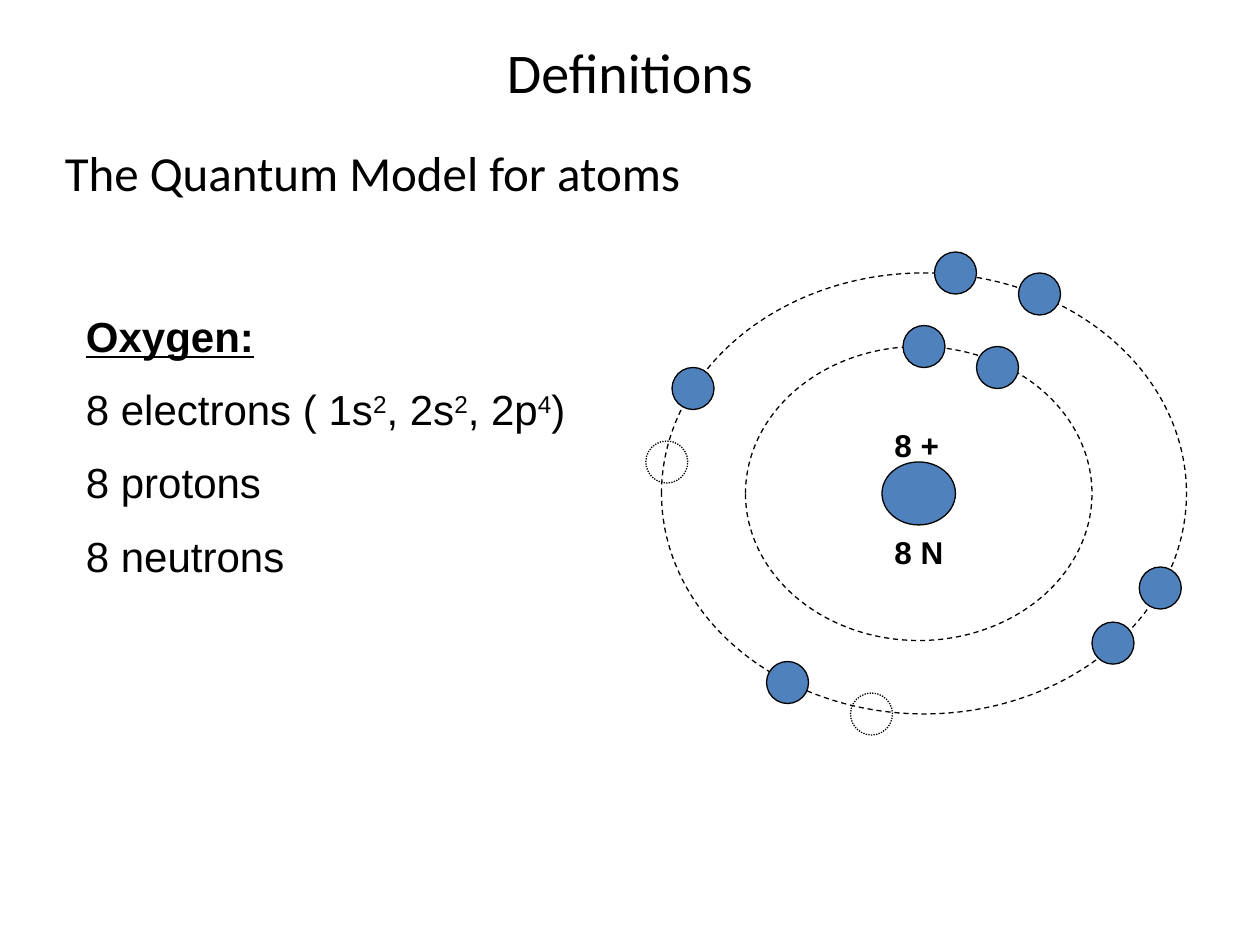
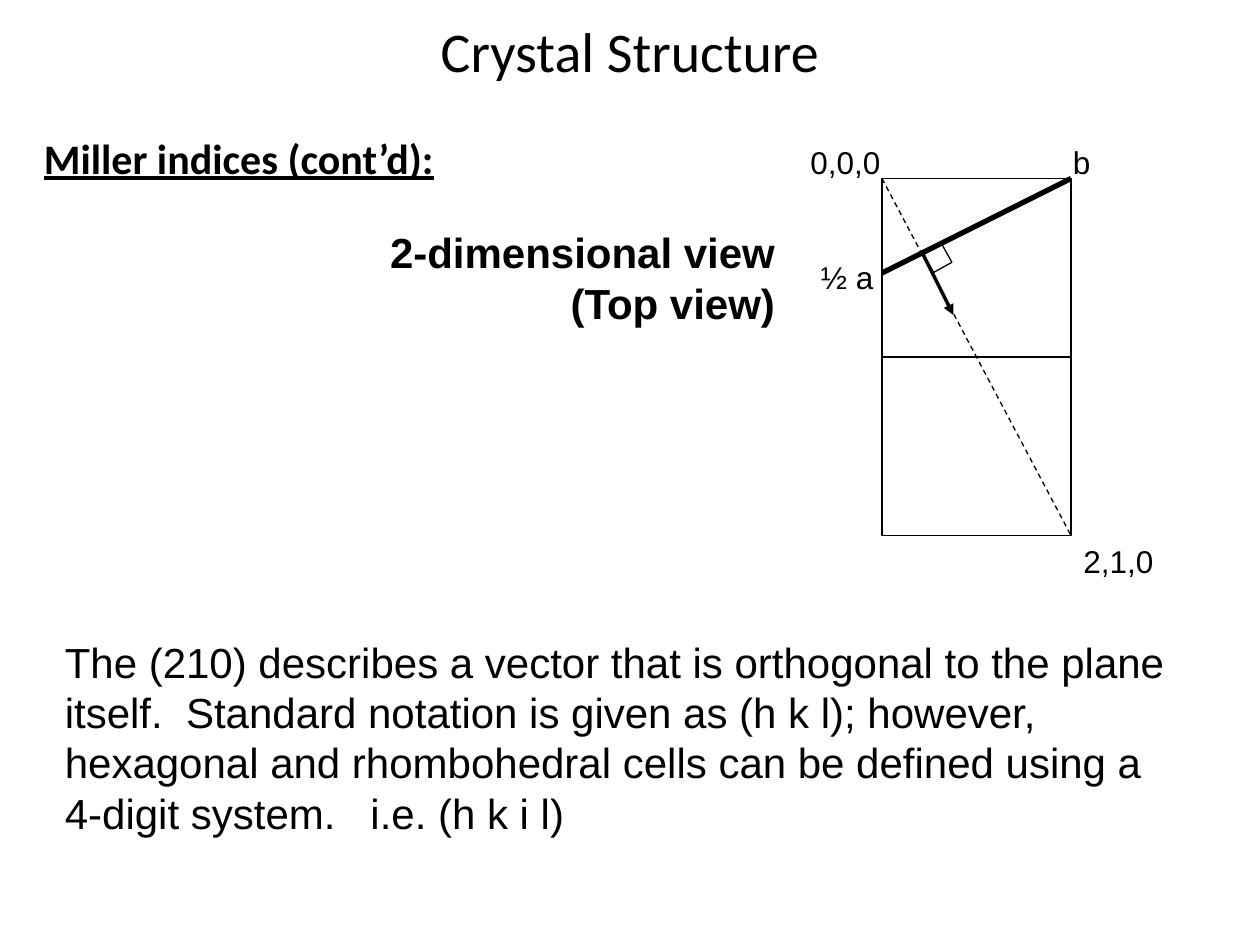
from lxml.etree import SubElement
from pptx import Presentation
from pptx.dml.color import RGBColor
from pptx.enum.dml import MSO_LINE
from pptx.enum.shapes import MSO_CONNECTOR, MSO_SHAPE
from pptx.enum.text import MSO_ANCHOR, PP_ALIGN
from pptx.oxml.ns import qn
from pptx.util import Inches, Pt

BLACK = RGBColor(0x00, 0x00, 0x00)
BLUE = RGBColor(0x4F, 0x81, 0xBD)
HEADING_FONT, BODY_FONT = "Calibri", "Arial"
UNIT = 1 / 12  # grid step in inches; every place below counts these steps

# Slide 1: boxes are (left, top, width, height)
OXYGEN_FACTS = ["8 electrons ( 1s^2^, 2s^2^, 2p^4^)", "8 protons", "8 neutrons"]  # ^superscript^
NUCLEUS = (84, 44, 7, 6)
ORBITS = [(71, 33, 33, 28), (63, 26, 50, 42)]
ELECTRON_SIZE = 4
ELECTRONS = [(89, 24), (93, 33), (64, 35), (97, 26),
             (86, 31), (73, 63), (104, 59.25), (108.5, 54)]
VACANCIES = [(61.5, 42), (81, 66)]
NUCLEUS_LABELS = [("8 +", (84, 40, 9, 4.8)), ("8 N", (84, 50.2, 8, 4.8))]

# Slide 2
CELL_LEFT, CELL_TOP, CELL_W, CELL_H = 84, 17, 18, 17
CELL_RIGHT, CELLS_BOTTOM = CELL_LEFT + CELL_W, CELL_TOP + 2 * CELL_H
CELL_LINES = [  # start, end, points, dash, arrow
    ((CELL_LEFT, CELL_TOP), (CELL_RIGHT, CELLS_BOTTOM), 0.75, MSO_LINE.DASH, False),
    ((87.8, 24), (90.8, 30), 2, None, True),
    ((CELL_LEFT, 26), (CELL_RIGHT, CELL_TOP), 3, None, False),
]
RIGHT_ANGLE, RIGHT_ANGLE_TURN = (88.3, 23.6, 2, 2), 61
CELL_LABELS = [("½ a", (77, 24, 9, 4.8)), ("0,0,0", (76, 13, 12, 4.8)),
               ("b", (101, 13, 5, 4.8)), ("2,1,0", (102, 51, 10, 4.8))]
EXPLANATION = ("The (210) describes a vector that is orthogonal to the plane itself.  "
               "Standard notation is given as (h k l); however, hexagonal and rhombohedral "
               "cells can be defined using a 4-digit system.   i.e. (h k i l)")


def grid(*steps):
    return [Inches(step * UNIT) for step in steps]


def add_text(shapes, paragraphs, box, size, font=BODY_FONT, bold=False,
             underline=False, align=PP_ALIGN.LEFT, anchor=MSO_ANCHOR.TOP):
    """Add a text box; pieces between carets become superscripts."""
    tf = shapes.add_textbox(*grid(*box)).text_frame
    tf.word_wrap = True
    tf.vertical_anchor = anchor
    for i, text in enumerate(paragraphs):
        p = tf.paragraphs[0] if i == 0 else tf.add_paragraph()
        p.alignment = align
        p.space_before = Pt(13 if i else 0)
        p.font.name, p.font.size, p.font.bold = font, Pt(size), bold
        p.font.underline = underline
        p.font.color.rgb = BLACK
        for j, piece in enumerate(text.split("^")):
            r = p.add_run()
            r.text = piece
            if j % 2:
                r._r.get_or_add_rPr().set("baseline", "30000")
    return tf


def style_line(line, width=0.75, dash=None):
    line.color.rgb = BLACK
    line.width = Pt(width)
    if dash:
        line.dash_style = dash


def add_outline(shapes, kind, box, fill=None, dash=None):
    sp = shapes.add_shape(kind, *grid(*box))
    sp.shadow.inherit = False
    if fill:
        sp.fill.solid()
        sp.fill.fore_color.rgb = fill
    else:
        sp.fill.background()
    style_line(sp.line, dash=dash)
    return sp


def add_line(shapes, start, end, width, dash, arrow):
    line = shapes.add_connector(MSO_CONNECTOR.STRAIGHT, *grid(*start, *end))
    style_line(line.line, width, dash)
    if arrow:
        SubElement(line.line._get_or_add_ln(), qn("a:tailEnd"), type="triangle")
    SubElement(line._element.spPr, qn("a:effectLst"))


def add_slide(prs, title, title_box):
    shapes = prs.slides.add_slide(prs.slide_layouts[6]).shapes
    add_text(shapes, [title], title_box, 32, HEADING_FONT,
             align=PP_ALIGN.CENTER, anchor=MSO_ANCHOR.MIDDLE)
    return shapes


def add_atom(shapes):
    oval = MSO_SHAPE.OVAL
    add_outline(shapes, oval, NUCLEUS, BLUE)
    for orbit in ORBITS:
        add_outline(shapes, oval, orbit, dash=MSO_LINE.DASH)
    size = (ELECTRON_SIZE, ELECTRON_SIZE)
    for place in ELECTRONS:
        add_outline(shapes, oval, place + size, BLUE)
    for label, box in NUCLEUS_LABELS:
        add_text(shapes, [label], box, 18, bold=True)
    for place in VACANCIES:
        add_outline(shapes, oval, place + size, dash=MSO_LINE.ROUND_DOT)


def add_unit_cells(shapes):
    for row in range(2):
        add_outline(shapes, MSO_SHAPE.RECTANGLE,
                    (CELL_LEFT, CELL_TOP + row * CELL_H, CELL_W, CELL_H))
    for line in CELL_LINES:
        add_line(shapes, *line)
    add_outline(shapes, MSO_SHAPE.RECTANGLE, RIGHT_ANGLE).rotation = RIGHT_ANGLE_TURN
    for label, box in CELL_LABELS:
        add_text(shapes, [label], box, 18)


def main():
    prs = Presentation()
    prs.slide_width, prs.slide_height = Inches(10), Inches(7.5)

    shapes = add_slide(prs, "Definitions", (6, 3.6, 108, 6.4))
    add_text(shapes, ["The Quantum Model for atoms"], (5, 13, 108, 9), 28, HEADING_FONT)
    tf = add_text(shapes, ["Oxygen:"] + OXYGEN_FACTS, (7, 29, 50, 27.6), 24)
    tf.paragraphs[0].font.bold = tf.paragraphs[0].font.underline = True
    add_atom(shapes.add_group_shape().shapes)

    shapes = add_slide(prs, "Crystal Structure", (9, 1.5, 102, 6.5))
    add_text(shapes, ["Miller indices (cont’d):"], (3, 12, 97, 7), 24, HEADING_FONT,
             bold=True, underline=True)
    add_unit_cells(shapes.add_group_shape().shapes)
    add_text(shapes, ["2-dimensional view (Top view)"], (32, 21, 43, 10.8), 24,
             bold=True, align=PP_ALIGN.RIGHT)
    add_text(shapes, [EXPLANATION], (5, 60, 108, 20.4), 24)

    prs.save("out.pptx")


if __name__ == "__main__":
    main()
